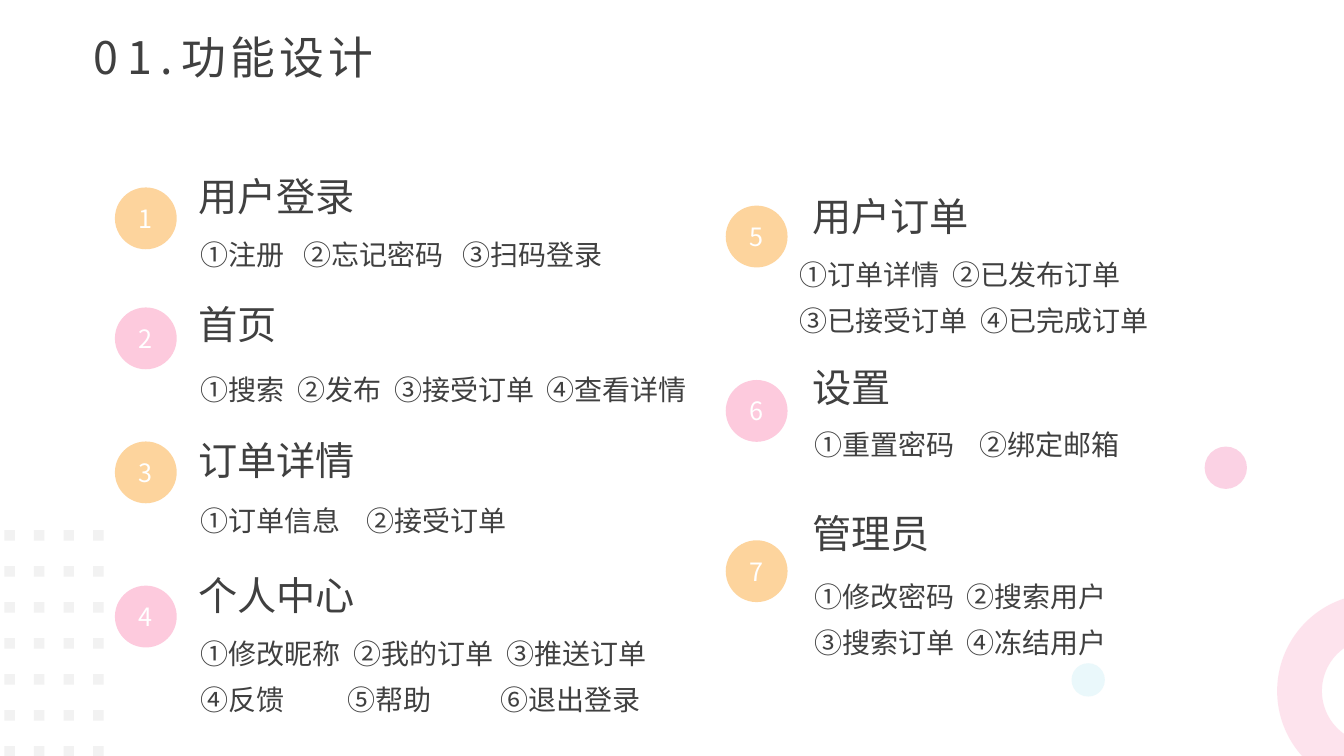
from lxml import etree
from pptx import Presentation
from pptx import util as u
from pptx.dml.color import RGBColor
from pptx.enum import shapes, text
from pptx.oxml import ns

FACE = "Noto Sans CJK SC"
INK, WHITE, GREY = "404040", "FFFFFF", "F2F2F2"
GOLD, PINK, ROSE, SKY = "FDD49D", "FDCADD", "F24791", "E3F6FA"
WIDE, HIGH = u.Inches(13.333), u.Inches(7.5)
OVAL = shapes.MSO_SHAPE.OVAL
ARC = shapes.MSO_SHAPE.BLOCK_ARC

LEFT = [
    (22.13, 2.67, 7.6, "用户登录",
     [("①注册\t②忘记密码\t③扫码登录", [7.66, 19.49])]),
    (39.07, 1.6, 8.53, "首页",
     [("①搜索\t②发布\t③接受订单\t④查看详情", [7.22, 14.43, 25.74])]),
    (57.07, 1.33, 7.86, "订单详情",
     [("①订单信息\t②接受订单", [12.35])]),
    (74.93, 2.54, 7.6, "个人中心",
     [("①修改昵称\t②我的订单\t③推送订单", [11.38, 22.77]),
      ("④反馈\t⑤帮助\t⑥退出登录", [10.94, 22.32])]),
]
RIGHT = [
    (24.8, 2.4, 7.6, "用户订单",
     [("①订单详情\t②已发布订单", [11.38]),
      ("③已接受订单\t④已完成订单", [13.47])]),
    (47.33, 2.94, 7.6, "设置",
     [("①重置密码\t②绑定邮箱", [12.28])]),
    (66.67, 4.8, 8.26, "管理员",
     [("①修改密码\t②搜索用户", [11.31]),
      ("③搜索订单\t④冻结用户", [11.31])]),
]


def across(share):
    return round(WIDE * share / 100)


def down(share):
    return round(HIGH * share / 100)


def tint(part, code):
    part.rgb = RGBColor.from_string(code)


def style(para, size, code):
    font = para.font
    font.name, font.size = FACE, u.Pt(size)
    tint(font.color, code)
    base = para._p.pPr.find(ns.qn("a:defRPr"))
    etree.SubElement(base, ns.qn("a:ea")).set("typeface", FACE)


def stops(para, shares):
    tabs = etree.SubElement(para._p.get_or_add_pPr(), ns.qn("a:tabLst"))
    for share in shares:
        tab = etree.SubElement(tabs, ns.qn("a:tab"))
        tab.set("pos", str(across(share)))
        tab.set("algn", "l")


def figure(slide, kind, x, y, size, code, alpha=100):
    side = across(size)
    shape = slide.shapes.add_shape(kind, across(x), down(y), side, side)
    shape.shadow.inherit = False
    shape.fill.solid()
    tint(shape.fill.fore_color, code)
    shape.line.fill.background()
    if alpha < 100:
        fill = shape.fill._xPr.find(".//" + ns.qn("a:srgbClr"))
        etree.SubElement(fill, ns.qn("a:alpha")).set("val", str(alpha * 1000))
    return shape


def arc(slide, x, y, size, code, alpha, turn, start, end, ring):
    shape = figure(slide, ARC, x, y, size, code, alpha)
    shape.rotation = turn
    for i, value in enumerate((start * 0.6, end * 0.6, ring)):
        shape.adjustments[i] = value


def decor(slide):
    arc(slide, -7.2, -14.67, 14.48, GOLD, 51, 180, 97.41, 173.6, 0.23)
    arc(slide, 95.03, 78.53, 14.48, PINK, 51, 270, 107.18, 3.73, 0.23)
    arc(slide, 32.55, -35.87, 25.95, SKY, 53, 197.2, 114.66, 189.39, 0.14)
    for col in range(4):
        for row in range(7):
            figure(slide, shapes.MSO_SHAPE.RECTANGLE,
                   0.33 + 2.2 * col, 70.13 + 4.76 * row, 0.78, GREY)
    figure(slide, OVAL, 79.73, 87.73, 2.48, SKY, 75)
    figure(slide, OVAL, 89.63, 59.07, 3.15, ROSE, 24)


def title(slide):
    head = slide.shapes.title
    head.left, head.top = across(6.23), down(4)
    head.width, head.height = across(39.08), down(7.87)
    frame = head.text_frame
    frame.auto_size = text.MSO_AUTO_SIZE.NONE
    frame.vertical_anchor = text.MSO_ANCHOR.BOTTOM
    para = frame.paragraphs[0]
    para.alignment = text.PP_ALIGN.LEFT
    para.line_spacing = 0.9
    for words, gap in (("01.", 600), ("功能设计", 300)):
        run = para.add_run()
        run.text = words
        run._r.get_or_add_rPr().set("spc", str(gap))
    style(para, 32, INK)


def badge(slide, x, y, num):
    shape = figure(slide, OVAL, x, y, 4.6, GOLD if num % 2 else PINK)
    frame = shape.text_frame
    frame.vertical_anchor = text.MSO_ANCHOR.MIDDLE
    para = frame.paragraphs[0]
    para.text = str(num)
    para.alignment = text.PP_ALIGN.CENTER
    style(para, 18, WHITE)


def label(slide, x, y, words):
    box = slide.shapes.add_textbox(
        across(x), down(y), across(1.5 + 2.92 * len(words)), down(7.6))
    frame = box.text_frame
    frame.word_wrap = False
    frame.auto_size = text.MSO_AUTO_SIZE.SHAPE_TO_FIT_TEXT
    frame.vertical_anchor = text.MSO_ANCHOR.MIDDLE
    para = frame.paragraphs[0]
    para.text = words
    style(para, 28, INK)


def items(slide, x, y, lines):
    box = slide.shapes.add_textbox(
        across(x), down(y), across(38.85), down(0.67 + 6.27 * len(lines)))
    frame = box.text_frame
    frame.word_wrap = True
    frame.auto_size = text.MSO_AUTO_SIZE.SHAPE_TO_FIT_TEXT
    frame.margin_left = frame.margin_right = u.Inches(0.12)
    frame.margin_top = frame.margin_bottom = u.Inches(0.06)
    for i, (words, tabs) in enumerate(lines):
        para = frame.add_paragraph() if i else frame.paragraphs[0]
        para.text = words
        stops(para, tabs)
        para.line_spacing = 1.2
        para.space_before = u.Pt(4 if i else 0)
        style(para, 20, INK)


def column(slide, x, inset, first, parts):
    for num, (y, drop, gap, name, lines) in enumerate(parts, first):
        badge(slide, x, y + drop, num)
        label(slide, x + inset, y, name)
        shift = 1.12 if num == 5 else 0
        items(slide, x + inset - shift, y + gap, lines)


def main():
    deck = Presentation()
    deck.slide_width, deck.slide_height = WIDE, HIGH
    slide = deck.slides.add_slide(deck.slide_layouts[5])
    decor(slide)
    title(slide)
    column(slide, 8.55, 5.48, 1, LEFT)
    column(slide, 54, 5.7, 5, RIGHT)
    deck.save("out.pptx")


if __name__ == "__main__":
    main()
